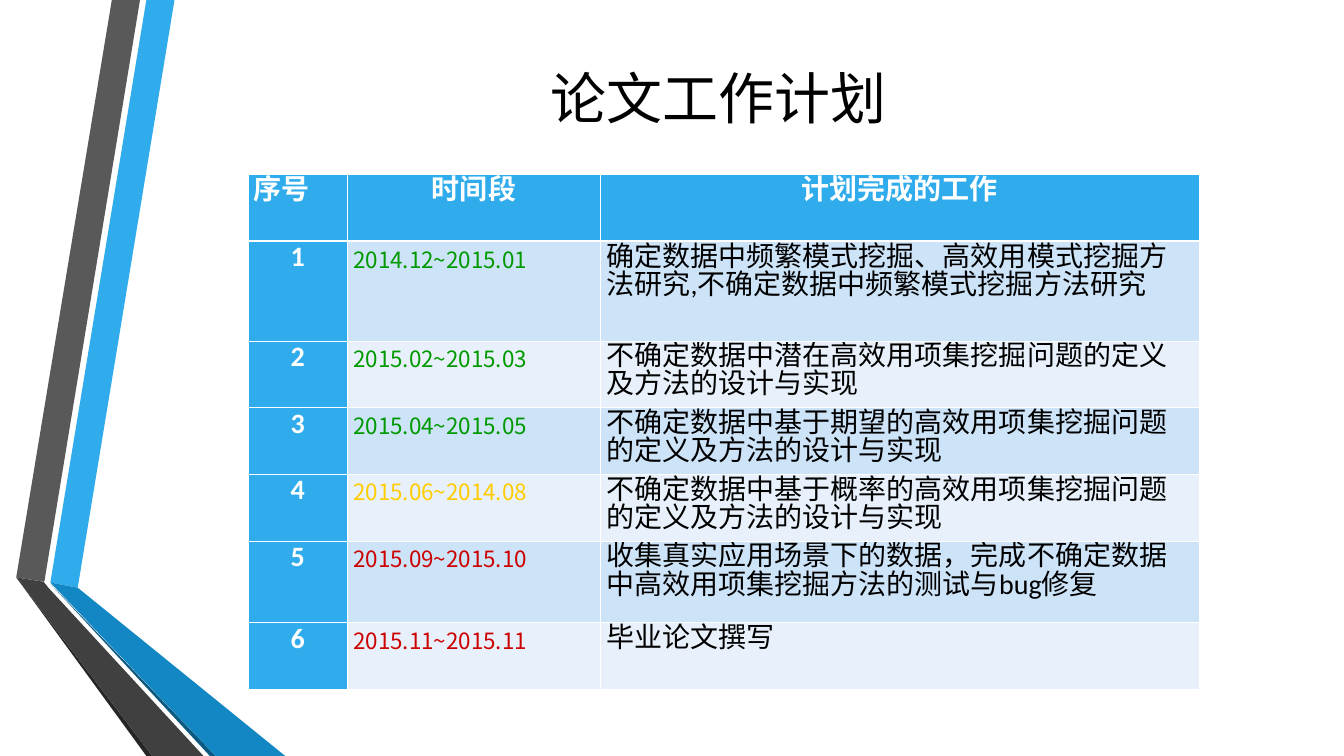
from dataclasses import dataclass

from lxml.etree import SubElement
from pptx import Presentation
from pptx.dml.color import RGBColor
from pptx.enum.text import MSO_ANCHOR, PP_ALIGN
from pptx.oxml.ns import qn
from pptx.util import Cm, Pt


@dataclass(frozen=True)
class Theme:
    font: str = "Calibri"
    date_font: str = "Noto Sans CJK SC"
    title_size: float = 40
    body_size: float = 20
    date_size: float = 16
    line_spacing: float = 20
    thin_border: float = 0.45
    thick_border: float = 1.47
    white: str = "FFFFFF"
    black: str = "000000"
    accent: str = "30ACEC"
    accent_dark: str = "1287C3"
    accent_edge: str = "0C5A82"
    grey: str = "595959"
    grey_dark: str = "404040"
    grey_edge: str = "262626"
    odd_band: str = "CDE3F8"
    even_band: str = "E8F1FB"
    done: str = "009900"
    ongoing: str = "FFCC00"
    pending: str = "CC0000"


THEME = Theme()

# Ribbon outlines in centimetres, measured from the corner of the ribbon box
RIBBONS = [
    (THEME.accent, [(0.86, 14.68), (1.55, 14.81), (3.99, 0), (3.28, 0)]),
    (THEME.grey, [(3.12, 0), (2.41, 0), (0, 14.55), (0.71, 14.66)]),
    (THEME.grey_edge, [(0, 14.55), (3.28, 19.05), (3.43, 19.05)]),
    (THEME.accent_edge, [(0.86, 14.71), (4.88, 19.05), (5.03, 19.05)]),
    (THEME.accent_dark, [(0.86, 14.68), (5.03, 19.05), (6.78, 19.05), (1.55, 14.81)]),
    (THEME.grey_dark, [(4.72, 19.05), (0.81, 14.81), (0.69, 14.66), (0, 14.55), (3.43, 19.05)]),
]

HEADERS = ["序号", "时间段", "计划完成的工作"]
# Period, colour of its status, planned work
PLAN = [
    ("2014.12~2015.01", THEME.done, "不确定数据中频繁模式挖掘、高效用模式挖掘方法研究,不确定数据中频繁模式挖掘方法研究"
     .replace("不确定", "确定", 1).replace(",", ",")),
    ("2015.02~2015.03", THEME.done, "不确定数据中潜在高效用项集挖掘问题的定义及方法的设计与实现"),
    ("2015.04~2015.05", THEME.done, "不确定数据中基于期望的高效用项集挖掘问题的定义及方法的设计与实现"),
    ("2015.06~2014.08", THEME.ongoing, "不确定数据中基于概率的高效用项集挖掘问题的定义及方法的设计与实现"),
    ("2015.09~2015.10", THEME.pending, "收集真实应用场景下的数据\uff0c完成不确定数据中高效用项集挖掘方法的测试与bug修复"),
    ("2015.11~2015.11", THEME.pending, "毕业论文撰写"),
]
COLUMN_WIDTHS = [2.51, 6.38, 15.09]
ROW_HEIGHTS = [1.68, 2.51, 1.68, 1.68, 1.68, 2.06, 1.68]


def write_text(text_frame, text, size=THEME.body_size, font=THEME.font, color=THEME.black,
               bold=False, align=PP_ALIGN.LEFT, line_spacing=None):
    paragraph = text_frame.paragraphs[0]
    paragraph.alignment = align
    if line_spacing:
        paragraph.line_spacing = Pt(line_spacing)
    run = paragraph.add_run()
    run.text = text
    run.font.size = Pt(size)
    run.font.name = font
    run.font.bold = bold
    run.font.color.rgb = RGBColor.from_string(color)


def draw_ribbons(slide, left, top):
    for color, outline in RIBBONS:
        points = [(Cm(left + x), Cm(top + y)) for x, y in outline]
        builder = slide.shapes.build_freeform(*points[0])
        builder.add_line_segments(points[1:], close=True)
        ribbon = builder.convert_to_shape()
        ribbon.shadow.inherit = False
        ribbon.fill.solid()
        ribbon.fill.fore_color.rgb = RGBColor.from_string(color)
        ribbon.line.fill.background()


def place_title(slide, text, left, top, width, height):
    title = slide.shapes.title
    title.left, title.top, title.width, title.height = map(Cm, (left, top, width, height))
    title.text_frame.vertical_anchor = MSO_ANCHOR.MIDDLE
    write_text(title.text_frame, text, size=THEME.title_size, align=PP_ALIGN.CENTER)


def set_borders(cell, **widths):
    properties = cell._tc.get_or_add_tcPr()
    for side in ("L", "R", "T", "B"):
        width = widths.get(side, THEME.thin_border)
        line = SubElement(properties, qn(f"a:ln{side}"), w=str(int(Pt(width))))
        fill = SubElement(line, qn("a:solidFill"))
        SubElement(fill, qn("a:srgbClr"), val=THEME.white)


def fill_cell(cell, text, fill, borders, **text_format):
    cell.margin_left = cell.margin_right = Cm(0.15)
    cell.margin_top = cell.margin_bottom = Cm(0.13)
    set_borders(cell, **borders)
    cell.fill.solid()
    cell.fill.fore_color.rgb = RGBColor.from_string(fill)
    write_text(cell.text_frame, text, line_spacing=THEME.line_spacing, **text_format)


def draw_plan_table(slide, left, top):
    frame = slide.shapes.add_table(len(ROW_HEIGHTS), len(COLUMN_WIDTHS), Cm(left), Cm(top),
                                   Cm(sum(COLUMN_WIDTHS)), Cm(sum(ROW_HEIGHTS)))
    table = frame.table
    for column, width in zip(table.columns, COLUMN_WIDTHS):
        column.width = Cm(width)
    for row, height in zip(table.rows, ROW_HEIGHTS):
        row.height = Cm(height)
    heading = dict(fill=THEME.accent, color=THEME.white, bold=True)

    # Header row
    for index, text in enumerate(HEADERS):
        align = PP_ALIGN.CENTER if index else PP_ALIGN.LEFT
        fill_cell(table.cell(0, index), text, borders={"B": THEME.thick_border},
                  align=align, **heading)

    # Plan rows
    for number, (period, status, work) in enumerate(PLAN, start=1):
        borders = {"T": THEME.thick_border} if number == 1 else {}
        band = THEME.odd_band if number % 2 else THEME.even_band
        date_align = PP_ALIGN.LEFT if status == THEME.done else PP_ALIGN.JUSTIFY
        fill_cell(table.cell(number, 0), str(number), borders=borders,
                  align=PP_ALIGN.CENTER, **heading)
        fill_cell(table.cell(number, 1), period, band, borders, size=THEME.date_size,
                  font=THEME.date_font, color=status, align=date_align)
        fill_cell(table.cell(number, 2), work, band, borders)


def build_plan_slide(presentation):
    slide = presentation.slides.add_slide(presentation.slide_layouts[5])
    draw_ribbons(slide, left=0.41, top=0)
    place_title(slide, "论文工作计划", left=4.19, top=0, width=27.84, height=4.88)
    draw_plan_table(slide, left=6.25, top=4.4)


presentation = Presentation()
presentation.slide_width = Cm(33.88)
presentation.slide_height = Cm(19.05)
build_plan_slide(presentation)
presentation.save("out.pptx")
